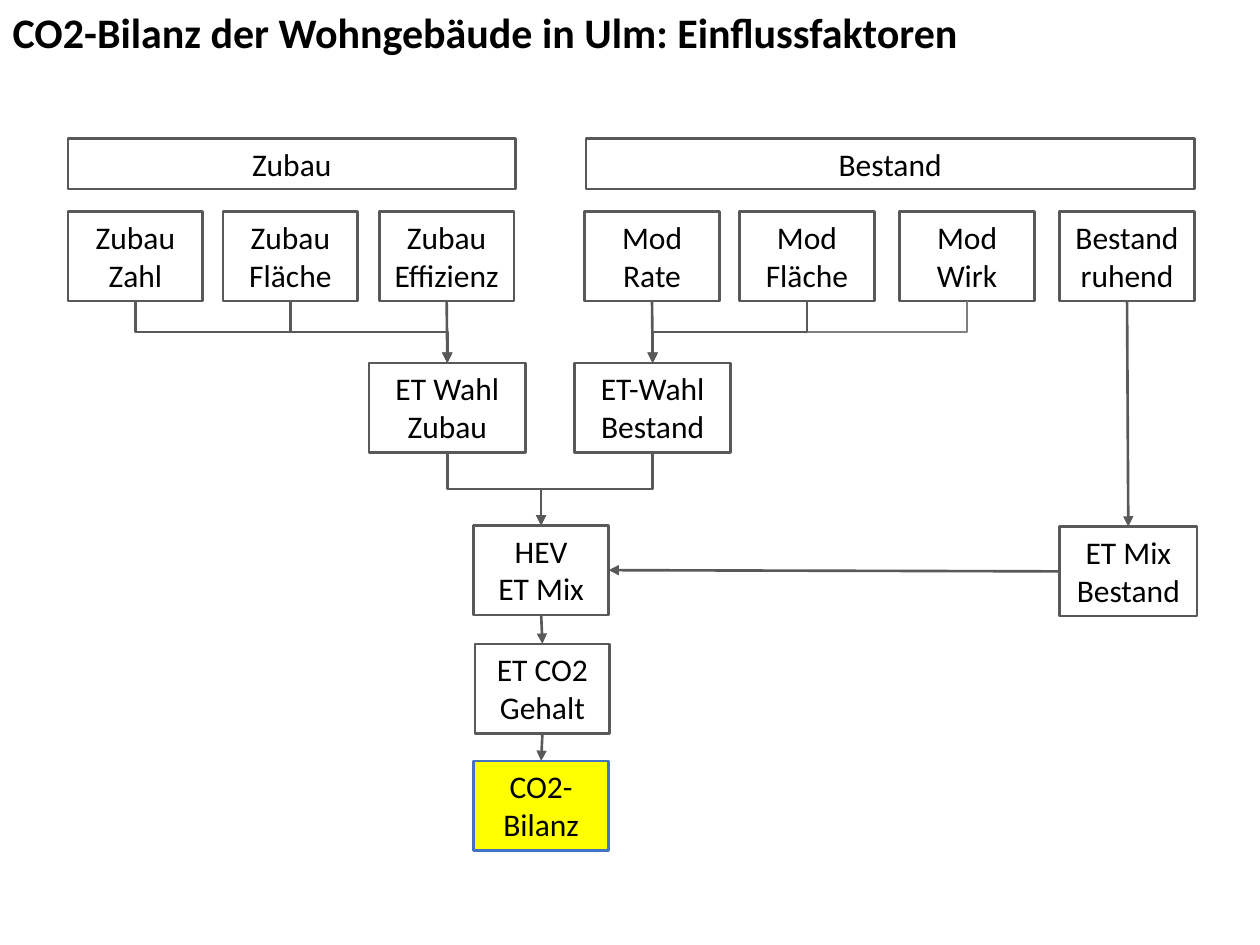
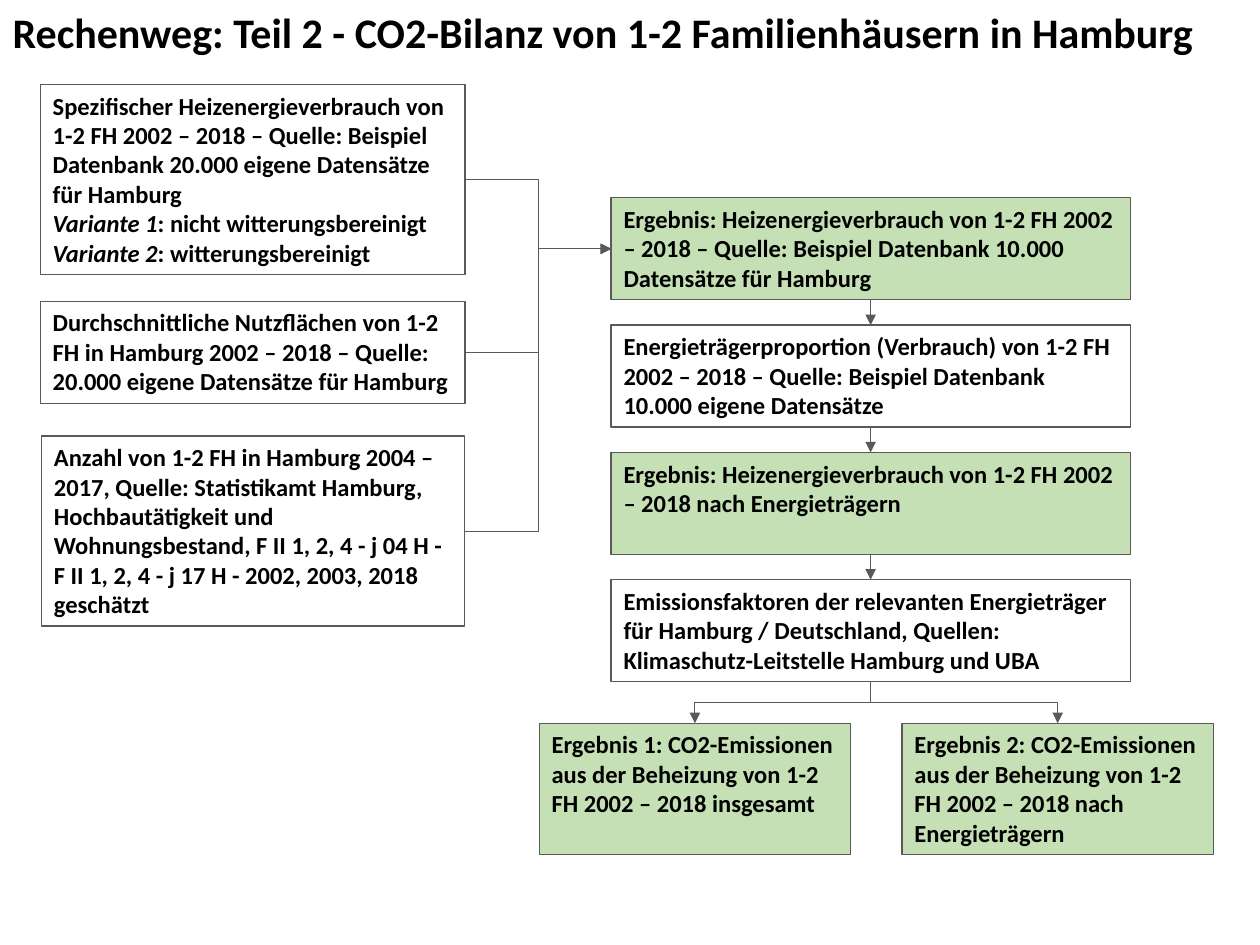
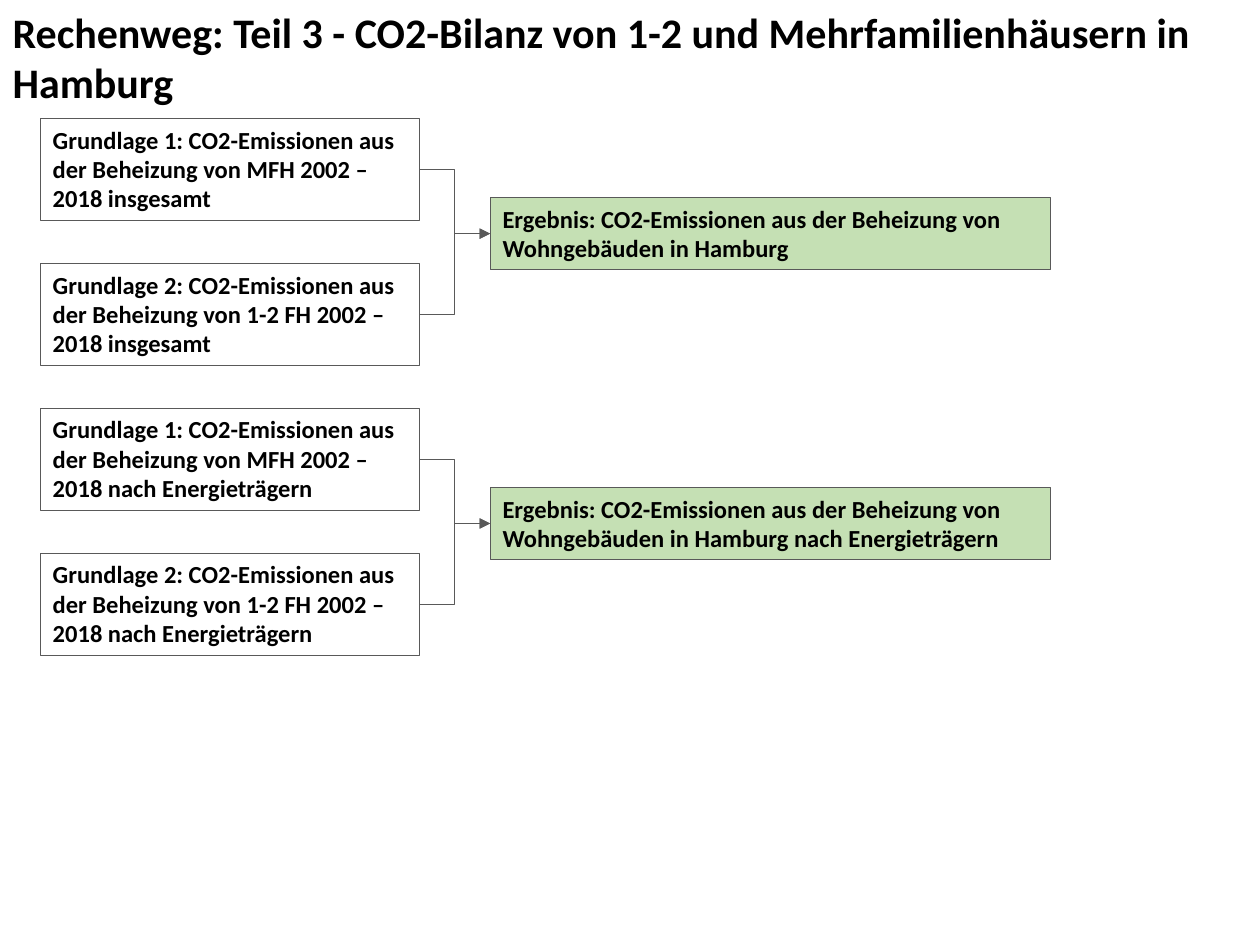
from collections import namedtuple

from lxml import etree
from pptx import Presentation
from pptx.dml.color import RGBColor
from pptx.enum import shapes, text
from pptx.oxml import ns
from pptx.util import Inches, Pt

BLACK = RGBColor(0x00, 0x00, 0x00)
DARK_GREY = RGBColor(0x59, 0x59, 0x59)
GREY = RGBColor(0x80, 0x80, 0x80)
BLUE = RGBColor(0x44, 0x72, 0xC4)
YELLOW = RGBColor(0xFF, 0xFF, 0x00)
GREEN = RGBColor(0xC5, 0xE0, 0xB4)
FONT = "Calibri"
BOTTOM, TOP, LEFT, RIGHT = 2, 0, 1, 3

BoxStyle = namedtuple("BoxStyle", "size bold align line_width line_color fill")
FACTOR = BoxStyle(18, False, text.PP_ALIGN.CENTER, 1.5, DARK_GREY, None)
BALANCE = FACTOR._replace(line_color=BLUE, fill=YELLOW)
BASIS = BoxStyle(14, True, text.PP_ALIGN.LEFT, 0.75, DARK_GREY, None)
RESULT = BASIS._replace(fill=GREEN)


def format_paragraph(paragraph, size, bold, align):
    """Set the shared font and the alignment of a paragraph."""
    paragraph.alignment = align
    paragraph.font.name = FONT
    paragraph.font.size = Pt(size)
    paragraph.font.bold = bold
    paragraph.font.color.rgb = BLACK


def add_titled_slide(presentation, title, height=0.5):
    """Add a slide with its title across the top edge."""
    slide = presentation.slides.add_slide(presentation.slide_layouts[5])
    shape = slide.shapes.title
    shape.left, shape.top = Inches(0), Inches(0)
    shape.width, shape.height = presentation.slide_width, Inches(height)
    frame = shape.text_frame
    frame.text = title
    frame.auto_size = text.MSO_AUTO_SIZE.NONE
    frame.vertical_anchor = text.MSO_ANCHOR.TOP
    format_paragraph(frame.paragraphs[0], 24, True, text.PP_ALIGN.LEFT)
    return slide


def add_box(slide, left, top, width, height, lines, style):
    """Add a box; a line given as a pair starts with an italic part."""
    shape = slide.shapes.add_shape(
        shapes.MSO_SHAPE.RECTANGLE, Inches(left), Inches(top), Inches(width), Inches(height))
    shape.shadow.inherit = False
    if style.fill is None:
        shape.fill.background()
    else:
        shape.fill.solid()
        shape.fill.fore_color.rgb = style.fill
    shape.line.color.rgb = style.line_color
    shape.line.width = Pt(style.line_width)
    frame = shape.text_frame
    frame.word_wrap = True
    frame.vertical_anchor = text.MSO_ANCHOR.TOP
    for index, line in enumerate(lines):
        paragraph = frame.add_paragraph() if index else frame.paragraphs[0]
        format_paragraph(paragraph, style.size, style.bold, style.align)
        parts = (line,) if isinstance(line, str) else line
        for part in parts:
            run = paragraph.add_run()
            run.text = part
            if part is not parts[-1]:
                run.font.italic = True
    return shape


def style_arrow(connector, width, color):
    """Colour a connector, drop its shadow and give it an arrowhead."""
    connector.line.color.rgb = color
    connector.line.width = Pt(width)
    head = etree.SubElement(connector.line._get_or_add_ln(), ns.qn("a:tailEnd"))
    head.set("type", "triangle")
    etree.SubElement(connector._element.spPr, ns.qn("a:effectLst"))


def join(slide, source, source_side, target, target_side, width,
         kind=shapes.MSO_CONNECTOR.STRAIGHT):
    """Join the sides of two boxes with an arrow."""
    connector = slide.shapes.add_connector(kind, 0, 0, 0, 0)
    connector.begin_connect(source, source_side)
    connector.end_connect(target, target_side)
    style_arrow(connector, width, DARK_GREY)


def join_down(slide, source, target, width, color=DARK_GREY):
    """Draw an elbow arrow from the bottom of one box to the top of another."""
    start_x = source.left + source.width // 2
    end_x = target.left + target.width // 2
    start_y = source.top + source.height
    drop, shift = target.top - start_y, abs(end_x - start_x)
    left = (start_x + end_x - drop) // 2
    top = (start_y + target.top - shift) // 2
    goes_right = end_x > start_x
    begin, end = (left + drop, left) if goes_right else (left, left + drop)
    connector = slide.shapes.add_connector(
        shapes.MSO_CONNECTOR.ELBOW, begin, top, end, top + shift)
    degrees = 270 if goes_right else 90
    connector._element.spPr.xfrm.set("rot", str(degrees * 60000))
    style_arrow(connector, width, color)


def merge_right(slide, sources, target):
    """Lead several boxes with elbow arrows into the box on their right."""
    for source in sources:
        join(slide, source, RIGHT, target, LEFT, 0.5, shapes.MSO_CONNECTOR.ELBOW)


def build_factors(presentation):
    """Build the flow chart of the influencing factors."""
    slide = add_titled_slide(
        presentation, "CO2-Bilanz der Wohngebäude in Ulm: Einflussfaktoren")

    def factor(left, top, *lines, width=1.07, height=0.71, style=FACTOR):
        """Add one factor box."""
        return add_box(slide, left, top, width, height, lines, style)

    factor(0.54, 1.1, "Zubau", width=3.55, height=0.4)
    factor(4.65, 1.1, "Bestand", width=4.83, height=0.4)
    number, area, efficiency, rate, renewed_area, effect, resting = [
        factor(left, 1.68, *lines) for left, *lines in (
            (0.54, "Zubau", "Zahl"), (1.77, "Zubau", "Fläche"), (3.01, "Zubau", "Effizienz"),
            (4.64, "Mod", "Rate"), (5.87, "Mod", "Fläche"), (7.14, "Mod", "Wirk"),
            (8.41, "Bestand", "ruhend"))]
    choice_new = factor(2.93, 2.88, "ET Wahl Zubau", width=1.24)
    choice_stock = factor(4.56, 2.88, "ET-Wahl Bestand", width=1.24)
    mix = factor(3.76, 4.17, "HEV", "ET Mix")
    mix_stock = factor(8.41, 4.18, "ET Mix Bestand", width=1.09)
    content = factor(3.77, 5.11, "ET CO2", "Gehalt")
    balance = factor(3.76, 6.04, "CO2-Bilanz", style=BALANCE)

    join_down(slide, effect, choice_stock, 1.5, GREY)
    for source, target in ((renewed_area, choice_stock), (number, choice_new),
                           (area, choice_new), (choice_new, mix), (choice_stock, mix)):
        join_down(slide, source, target, 1.5)
    for source, target in ((efficiency, choice_new), (rate, choice_stock), (mix, content),
                           (content, balance), (resting, mix_stock)):
        join(slide, source, BOTTOM, target, TOP, 1.5)
    join(slide, mix_stock, LEFT, mix, RIGHT, 1.5)


def build_small_houses(presentation):
    """Build the calculation path for one- and two-family houses."""
    slide = add_titled_slide(
        presentation, "Rechenweg: Teil 2 - CO2-Bilanz von 1-2 Familienhäusern in Hamburg")
    consumption = add_box(slide, 0.32, 0.67, 3.37, 1.51, (
        "Spezifischer Heizenergieverbrauch von 1-2 FH 2002 – 2018 – Quelle: Beispiel "
        "Datenbank 20.000 eigene Datensätze für Hamburg",
        ("Variante 1", ": nicht witterungsbereinigt"),
        ("Variante 2", ": witterungsbereinigt")), BASIS)
    area = add_box(slide, 0.32, 2.39, 3.37, 0.81, (
        "Durchschnittliche Nutzflächen von 1-2 FH in Hamburg 2002 – 2018 – Quelle: "
        "20.000 eigene Datensätze für Hamburg",), BASIS)
    number = add_box(slide, 0.33, 3.46, 3.36, 1.51, (
        "Anzahl von 1-2 FH in Hamburg 2004 – 2017, Quelle: Statistikamt Hamburg, "
        "Hochbautätigkeit und Wohnungsbestand, F II 1, 2, 4 - j 04 H - "
        "F II 1, 2, 4 - j 17 H - 2002, 2003, 2018 geschätzt",), BASIS)
    steps = (
        (RESULT, "Ergebnis: Heizenergieverbrauch von 1-2 FH 2002 – 2018 – Quelle: "
                 "Beispiel Datenbank 10.000 Datensätze für Hamburg"),
        (BASIS, "Energieträgerproportion (Verbrauch) von 1-2 FH 2002 – 2018 – Quelle: "
                "Beispiel Datenbank 10.000 eigene Datensätze"),
        (RESULT, "Ergebnis: Heizenergieverbrauch von 1-2 FH 2002 – 2018 nach Energieträgern"),
        (BASIS, "Emissionsfaktoren der relevanten Energieträger für Hamburg / Deutschland, "
                "Quellen: Klimaschutz-Leitstelle Hamburg und UBA"),
    )
    chain = [add_box(slide, 4.85, 1.57 + 1.01 * row, 4.12, 0.81, (line,), style)
             for row, (style, line) in enumerate(steps)]
    merge_right(slide, (consumption, area, number), chain[0])
    for source, target in zip(chain, chain[1:]):
        join(slide, source, BOTTOM, target, TOP, 0.5)
    for column, scope in enumerate(("insgesamt", "nach Energieträgern")):
        result = add_box(slide, 4.28 + 2.88 * column, 5.74, 2.47, 1.04, (
            f"Ergebnis {column + 1}: CO2-Emissionen aus der Beheizung von 1-2 FH "
            f"2002 – 2018 {scope}",), RESULT)
        join_down(slide, chain[-1], result, 0.5)


def build_all_houses(presentation):
    """Build the calculation path for all residential buildings."""
    slide = add_titled_slide(
        presentation,
        "Rechenweg: Teil 3 - CO2-Bilanz von 1-2 und Mehrfamilienhäusern in Hamburg", 0.91)
    for group, (scope, ending) in enumerate(
            (("insgesamt", ""), ("nach Energieträgern", " nach Energieträgern"))):
        offset = 2.3 * group
        bases = [
            add_box(slide, 0.32, 0.94 + offset + 1.15 * row, 3.01, 0.81, (
                f"Grundlage {row + 1}: CO2-Emissionen aus der Beheizung von {houses} "
                f"2002 – 2018 {scope}",), BASIS)
            for row, houses in enumerate(("MFH", "1-2 FH"))]
        result = add_box(slide, 3.89, 1.57 + offset, 4.45, 0.57, (
            f"Ergebnis: CO2-Emissionen aus der Beheizung von Wohngebäuden in Hamburg{ending}",
        ), RESULT)
        merge_right(slide, bases, result)


def main():
    """Build the three slides and save the presentation."""
    presentation = Presentation()
    presentation.slide_width, presentation.slide_height = Inches(10), Inches(7.5)
    build_factors(presentation)
    build_small_houses(presentation)
    build_all_houses(presentation)
    presentation.save("out.pptx")


if __name__ == "__main__":
    main()
